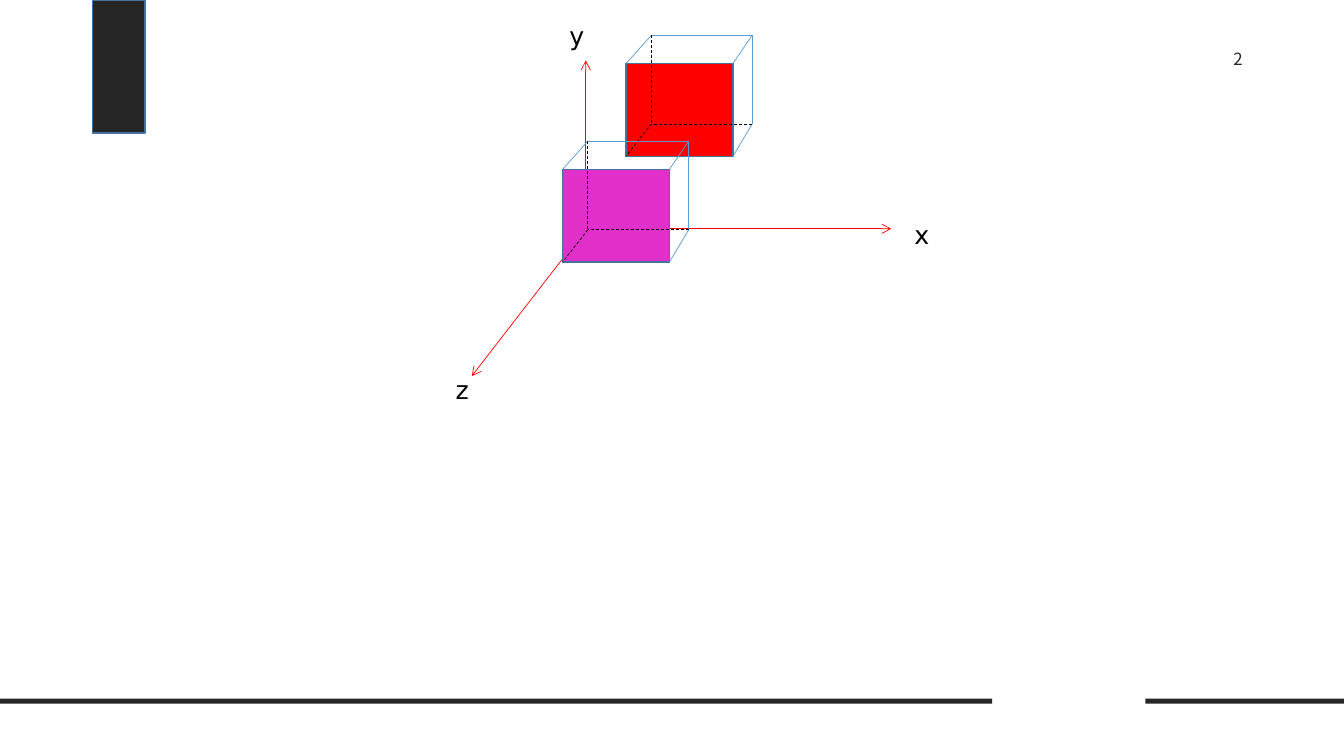
import pptx
import pptx.util
import pptx.dml.color
import pptx.enum.dml
import pptx.enum.shapes
import pptx.enum.text
import pptx.oxml
import pptx.oxml.ns

HUES = {
    "dark": "262626", "rim": "43739E", "edge": "5B9BD5", "axis": "FF0000",
    "ink": "000000", "back": "FF0000", "front": "E030C9",
}


class Board:
    """Slide style; lengths are columns and rows of a one-inch grid."""
    cell = pptx.util.Inches(1)
    font = "DejaVu Sans"

    def __init__(self, deck):
        self.slide = deck.slides.add_slide(deck.slide_layouts[6])
        self.shapes = self.slide.shapes

    def grid(self, *cells):
        return [round(c * self.cell) for c in cells]

    def hue(self, name):
        return pptx.dml.color.RGBColor.from_string(HUES[name])

    def box(self, x, y, w, h, fill, rim=None, host=None):
        kind = pptx.enum.shapes.MSO_SHAPE.RECTANGLE
        rect = (host or self.shapes).add_shape(kind, *self.grid(x, y, w, h))
        rect.shadow.inherit = False
        rect.fill.solid()
        rect.fill.fore_color.rgb = self.hue(fill)
        if rim:
            rect.line.color.rgb = self.hue(rim)
            rect.line.width = pptx.util.Pt(1)
        else:
            rect.line.fill.background()

    def line(self, start, end, hue, dash=False, arrow=False, host=None):
        kind = pptx.enum.shapes.MSO_CONNECTOR.STRAIGHT
        wire = (host or self.shapes).add_connector(kind, *self.grid(*start, *end))
        wire.line.color.rgb = self.hue(hue)
        wire.line.width = pptx.util.Pt(0.5)
        if dash:
            wire.line.dash_style = pptx.enum.dml.MSO_LINE.DASH
        props = wire.line._get_or_add_ln()
        if arrow:
            tail = pptx.oxml.parse_xml(
                '<a:tailEnd %s type="arrow"/>' % pptx.oxml.ns.nsdecls("a"))
            props.append(tail)
        props.addnext(pptx.oxml.parse_xml(
            "<a:effectLst %s/>" % pptx.oxml.ns.nsdecls("a")))

    def text(self, x, y, w, h, words, size=18, hue="ink", font=None, mid=False):
        frame = self.shapes.add_textbox(*self.grid(x, y, w, h)).text_frame
        frame.word_wrap = True
        frame.text = words
        para = frame.paragraphs[0]
        if mid:
            para.alignment = pptx.enum.text.PP_ALIGN.CENTER
            frame.vertical_anchor = pptx.enum.text.MSO_ANCHOR.MIDDLE
        face = para.runs[0].font
        face.name = font or self.font
        face.size = pptx.util.Pt(size)
        face.color.rgb = self.hue(hue)

    def cube(self, x, y, fill):
        """Filled front face, solid outer edges and dashed hidden edges."""
        host = self.shapes.add_group_shape().shapes
        wide, high = 1.06, 0.92
        left, right, top, base = x + 0.25, x + 1.25, y - 0.28, y + 0.6
        self.box(x, y, wide, high, fill, "rim", host)
        solid = [
            ((x, y), (left, top)),
            ((x + wide, y), (right, top)),
            ((left, top), (right, top)),
            ((right, top), (right, base)),
            ((x + wide, y + high), (right, base)),
        ]
        hidden = [
            ((left, top), (left, base)),
            ((right, base), (left, base)),
            ((left, base), (x, y + high)),
        ]
        for start, end in solid:
            self.line(start, end, "edge", host=host)
        for start, end in hidden:
            self.line(start, end, "ink", dash=True, host=host)


def main():
    deck = pptx.Presentation()
    deck.slide_width = pptx.util.Inches(13.33)
    deck.slide_height = pptx.util.Inches(7.5)
    board = Board(deck)

    # Frame: tab, footer bars and page number
    board.box(0.92, 0, 0.52, 1.32, "dark", "rim")
    for x, wide in ((0, 9.84), (11.36, 1.97)):
        board.box(x, 6.93, wide, 0.05, "dark")
    board.text(11.83, 0.33, 0.9, 0.5, "2", 12, "dark", "Noto Sans CJK SC", True)

    # Axes from one origin, and their names
    root = (5.81, 2.27)
    for tip in ((5.81, 0.6), (8.84, 2.27), (4.68, 3.73)):
        board.line(root, tip, "axis", arrow=True)
    for name, x, y in (("x", 8.97, 2.13), ("y", 5.55, 0.15), ("z", 4.42, 3.66)):
        board.text(x, y, 0.9, 0.4, name)

    # Cubes, the far one first
    board.cube(6.21, 0.63, "back")
    board.cube(5.58, 1.68, "front")

    deck.save("out.pptx")


if __name__ == "__main__":
    main()
